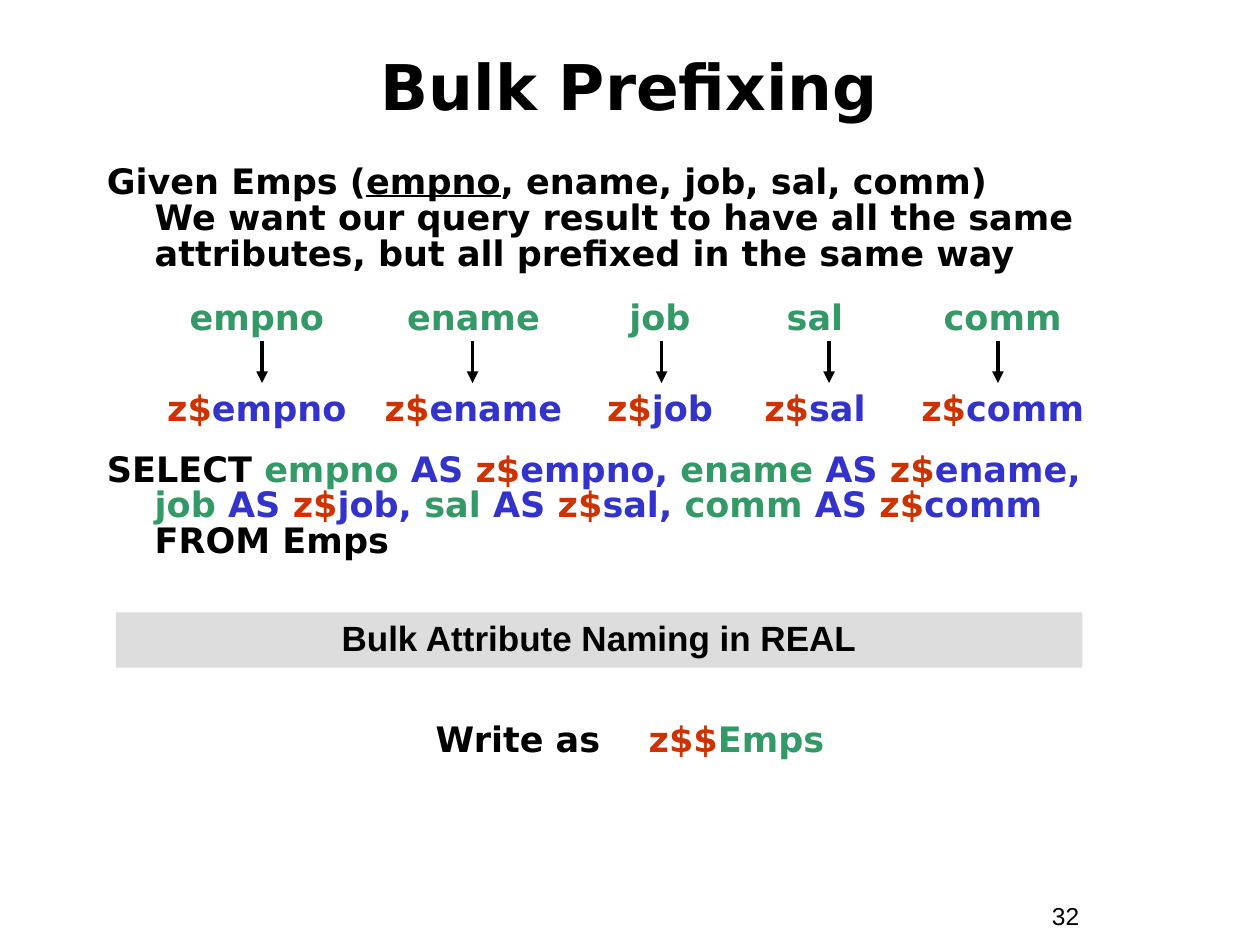
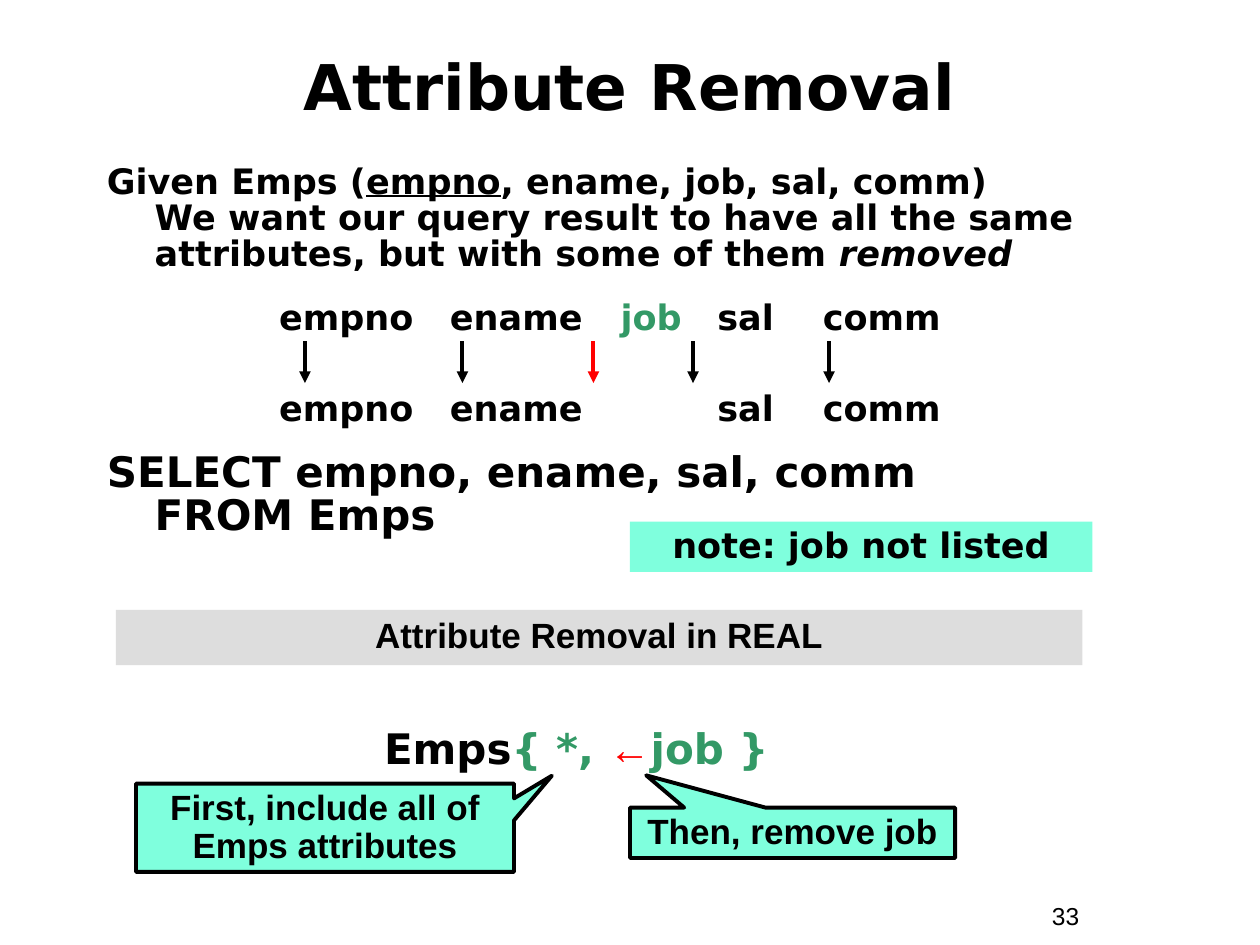
from dataclasses import dataclass

from lxml.etree import SubElement
from pptx import Presentation
from pptx.dml.color import RGBColor
from pptx.enum.shapes import MSO_CONNECTOR as Connector, MSO_SHAPE as Shape
from pptx.enum.text import MSO_ANCHOR as Anchor, MSO_AUTO_SIZE as AutoSize, PP_ALIGN as Align
from pptx.oxml.ns import qn
from pptx.util import Inches, Pt


@dataclass(frozen=True)
class Theme:
    black: str = "000000"
    green: str = "339966"
    orange: str = "CC3300"
    blue: str = "3333CC"
    red: str = "FF0000"
    grey: str = "DDDDDD"
    mint: str = "7FFFDD"
    body_font: str = "DejaVu Sans"
    label_font: str = "Arial"
    title_size: int = 36
    large_size: int = 24
    body_size: int = 20
    page_size: int = 14
    line_width: float = 2.25
    body_spacing: float = 0.85
    note_spacing: float = 0.9
    hanging: float = 0.38


THEME = Theme()
ATTRIBUTES = ["empno", "ename", "job", "sal", "comm"]
BODY_LEFT, BODY_WIDTH = 0.75, 8.5
INSET = 0.1


# Shared text and shape helpers
def set_values(target, values):
    for name, value in values.items():
        setattr(target, name, value)


def add_run(paragraph, text, color=THEME.black, font=THEME.body_font,
            size=THEME.body_size, bold=True, **extra):
    """Add text in one format; each newline becomes a line break."""
    for number, line in enumerate(text.split("\n")):
        if number:
            paragraph.add_line_break()
        if line:
            run = paragraph.add_run()
            run.text = line
            set_values(run.font, {"name": font, "size": Pt(size), "bold": bold, **extra})
            run.font.color.rgb = RGBColor.from_string(color)


def fill_frame(frame, runs, anchor=Anchor.TOP, align=Align.LEFT, spacing=1.0,
               hanging=0, tabs=(), tab_align="l"):
    """Write runs of (text, format values) as one paragraph."""
    set_values(frame, {
        "word_wrap": True, "auto_size": AutoSize.NONE, "vertical_anchor": anchor,
        "margin_left": Inches(INSET), "margin_right": Inches(INSET),
        "margin_top": Inches(0.05), "margin_bottom": Inches(0.05),
    })
    paragraph = frame.paragraphs[0]
    set_values(paragraph, {"alignment": align, "line_spacing": spacing})
    properties = paragraph._p.get_or_add_pPr()
    if hanging:
        properties.set("marL", str(Inches(hanging)))
        properties.set("indent", str(-Inches(hanging)))
    if tabs:
        tab_list = SubElement(properties, qn("a:tabLst"))
        for position in tabs:
            SubElement(tab_list, qn("a:tab"), pos=str(Inches(position)), algn=tab_align)
    for text, values in runs:
        add_run(paragraph, text, **values)


def add_text(slide, box, runs, **layout):
    text_box = slide.shapes.add_textbox(*map(Inches, box))
    fill_frame(text_box.text_frame, runs, **layout)


def add_panel(slide, box, text, fill, kind=Shape.RECTANGLE, font=THEME.label_font,
              outlined=False, tip=None):
    """Add a filled shape with centred text; tip is a callout's pointer."""
    panel = slide.shapes.add_shape(kind, *map(Inches, box))
    panel.shadow.inherit = False
    panel.fill.solid()
    panel.fill.fore_color.rgb = RGBColor.from_string(fill)
    if outlined:
        panel.line.color.rgb = RGBColor.from_string(THEME.black)
        panel.line.width = Pt(THEME.line_width)
    else:
        panel.line.fill.background()
    for number, value in enumerate(tip or ()):
        panel.adjustments[number] = value
    fill_frame(panel.text_frame, [(text, {"font": font})], anchor=Anchor.MIDDLE,
               align=Align.CENTER, spacing=THEME.note_spacing)


def add_arrow(slide, x, top, length, color):
    arrow = slide.shapes.add_connector(
        Connector.STRAIGHT, Inches(x), Inches(top), Inches(x), Inches(top + length))
    arrow.line.color.rgb = RGBColor.from_string(color)
    arrow.line.width = Pt(THEME.line_width)
    SubElement(arrow.line._get_or_add_ln(), qn("a:tailEnd"), type="triangle")
    SubElement(arrow._element.spPr, qn("a:effectLst"))


# Regions found on both slides
def add_frame_slide(presentation, title, page):
    slide = presentation.slides.add_slide(presentation.slide_layouts[5])
    placeholder = slide.shapes.title
    set_values(placeholder, {"left": Inches(0.33), "top": Inches(0.22),
                             "width": Inches(9.33), "height": Inches(0.92)})
    fill_frame(placeholder.text_frame, [(title, {"size": THEME.title_size})],
               anchor=Anchor.MIDDLE, align=Align.CENTER)
    page_format = {"font": THEME.label_font, "size": THEME.page_size, "bold": False}
    add_text(slide, (8.25, 7.1, 0.92, 0.34), [(str(page), page_format)])
    return slide


def add_goal(slide, ending):
    runs = [
        ("Given Emps (", {}),
        ("empno", {"underline": True}),
        (", ename, job, sal, comm)\n"
         "We want our query result to have all the same attributes, but ", {}),
        *ending,
    ]
    add_text(slide, (BODY_LEFT, 1.27, BODY_WIDTH, 0.95), runs,
             spacing=THEME.body_spacing, hanging=THEME.hanging)


def add_mapping(slide, top, centers, arrows, sources, results):
    """Draw two rows of centred names, with (x, colour) arrows between."""
    tabs = [center - BODY_LEFT - INSET for center in centers]
    for row_top, names in ((top, sources), (top + 0.72, results)):
        runs = []
        for name in names:
            runs += [("\t", {}), *name]
        add_text(slide, (BODY_LEFT, row_top, BODY_WIDTH, 0.38), runs,
                 spacing=THEME.body_spacing, tabs=tabs, tab_align="ctr")
    for x, color in arrows:
        add_arrow(slide, x, top + 0.36, 0.33, color)


def add_query(slide, runs):
    add_text(slide, (BODY_LEFT, 3.55, BODY_WIDTH, 1), runs,
             spacing=THEME.body_spacing, hanging=THEME.hanging)


def add_band(slide, top, text):
    add_panel(slide, (0.92, top, 7.67, 0.44), text, THEME.grey)


def prefixed(name):
    return [("z$", {"color": THEME.orange}), (name, {"color": THEME.blue})]


# Slide: every attribute gets the same prefix
def build_prefixing(presentation):
    green, blue = {"color": THEME.green}, {"color": THEME.blue}
    slide = add_frame_slide(presentation, "Bulk Prefixing", 32)
    add_goal(slide, [("all prefixed in the same way", {})])
    add_mapping(
        slide, 2.35, centers=[2.04, 3.76, 5.24, 6.47, 7.96],
        arrows=[(x, THEME.black) for x in (2.08, 3.75, 5.25, 6.58, 7.92)],
        sources=[[(name, green)] for name in ATTRIBUTES],
        results=[prefixed(name) for name in ATTRIBUTES])

    query = [("SELECT ", {})]
    for name, separator in zip(ATTRIBUTES, [", ", ",\n", ", ", ", ", "\n"]):
        query += [(name, green), (" AS ", blue), *prefixed(name), (separator, blue)]
    add_query(slide, query + [("FROM Emps", {})])

    add_band(slide, 4.86, "Bulk Attribute Naming in REAL")
    add_text(slide, (3.36, 5.7, 4, 0.4),
             [("Write as\t", {}), ("z$$", {"color": THEME.orange}), ("Emps", green)],
             spacing=THEME.body_spacing, tabs=[1.69])


# Slide: one attribute is dropped
def build_removal(presentation):
    large = {"size": THEME.large_size}
    large_green = {**large, "color": THEME.green}
    slide = add_frame_slide(presentation, "Attribute Removal", 33)
    add_goal(slide, [("with some of them ", {}), ("removed", {"italic": True})])

    removed = "job"
    arrow_positions = [2.42, 3.67, 4.71, 5.5, 6.58]
    add_mapping(
        slide, 2.35, centers=[2.75, 4.1, 5.17, 5.92, 7],
        arrows=[(x, THEME.red if name == removed else THEME.black)
                for x, name in zip(arrow_positions, ATTRIBUTES)],
        sources=[[(name, {"color": THEME.green} if name == removed else {})]
                 for name in ATTRIBUTES],
        results=[[] if name == removed else [(name, {})] for name in ATTRIBUTES])

    add_query(slide, [("SELECT empno, ename, sal, comm\nFROM Emps", large)])
    add_panel(slide, (5, 4.14, 3.67, 0.4), "note: job not listed", THEME.mint,
              font=THEME.body_font)

    add_band(slide, 4.84, "Attribute Removal in REAL")
    arrow_format = {**large, "font": THEME.label_font, "color": THEME.red}
    add_text(slide, (2.95, 5.75, 4, 0.45),
             [("Emps", large), ("{ *, ", large_green), ("←", arrow_format),
              ("job }", large_green)], spacing=THEME.body_spacing)
    callouts = [
        ((5, 6.41, 2.58, 0.4), "Then, remove job", (-0.45, -1.14)),
        ((1.08, 6.22, 3, 0.7), "First, include all of Emps attributes", (0.6, -0.59)),
    ]
    for box, text, tip in callouts:
        add_panel(slide, box, text, THEME.mint, kind=Shape.RECTANGULAR_CALLOUT,
                  outlined=True, tip=tip)


def main():
    presentation = Presentation()
    set_values(presentation, {"slide_width": Inches(10), "slide_height": Inches(7.5)})
    build_prefixing(presentation)
    build_removal(presentation)
    presentation.save("out.pptx")


if __name__ == "__main__":
    main()
